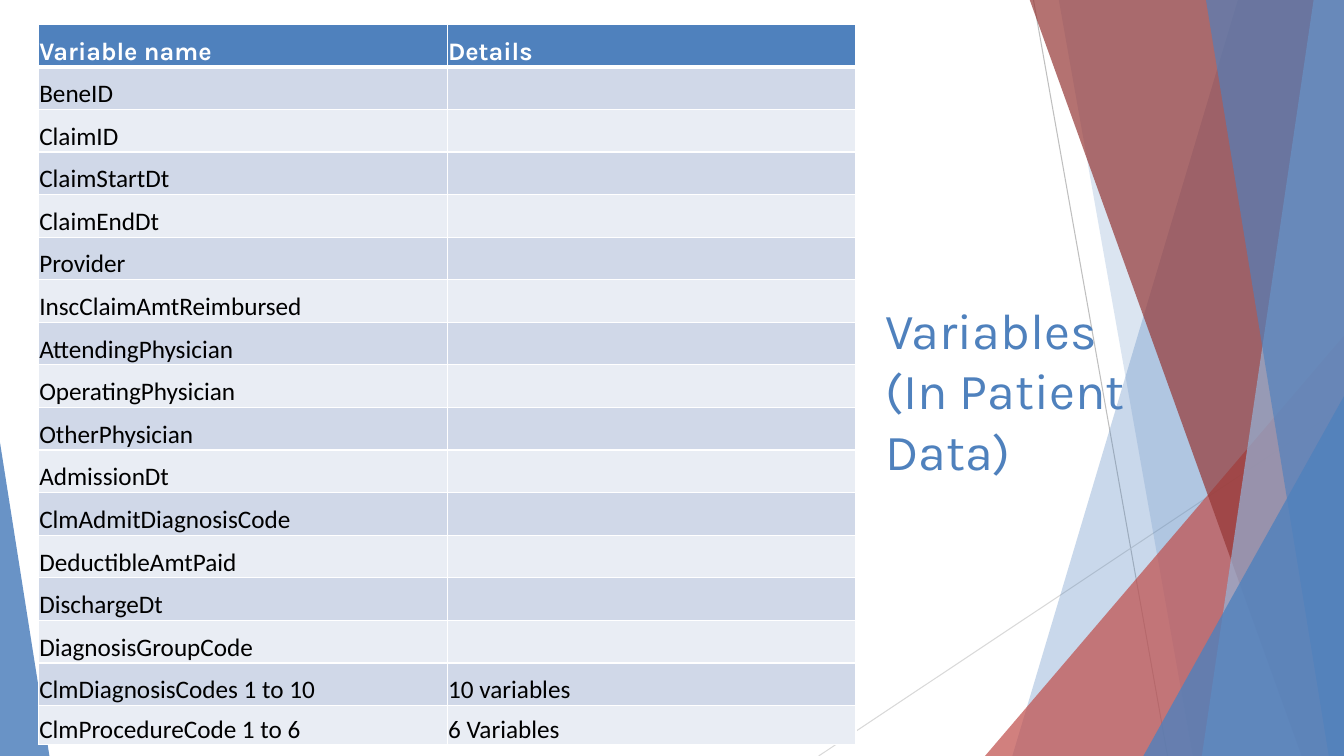
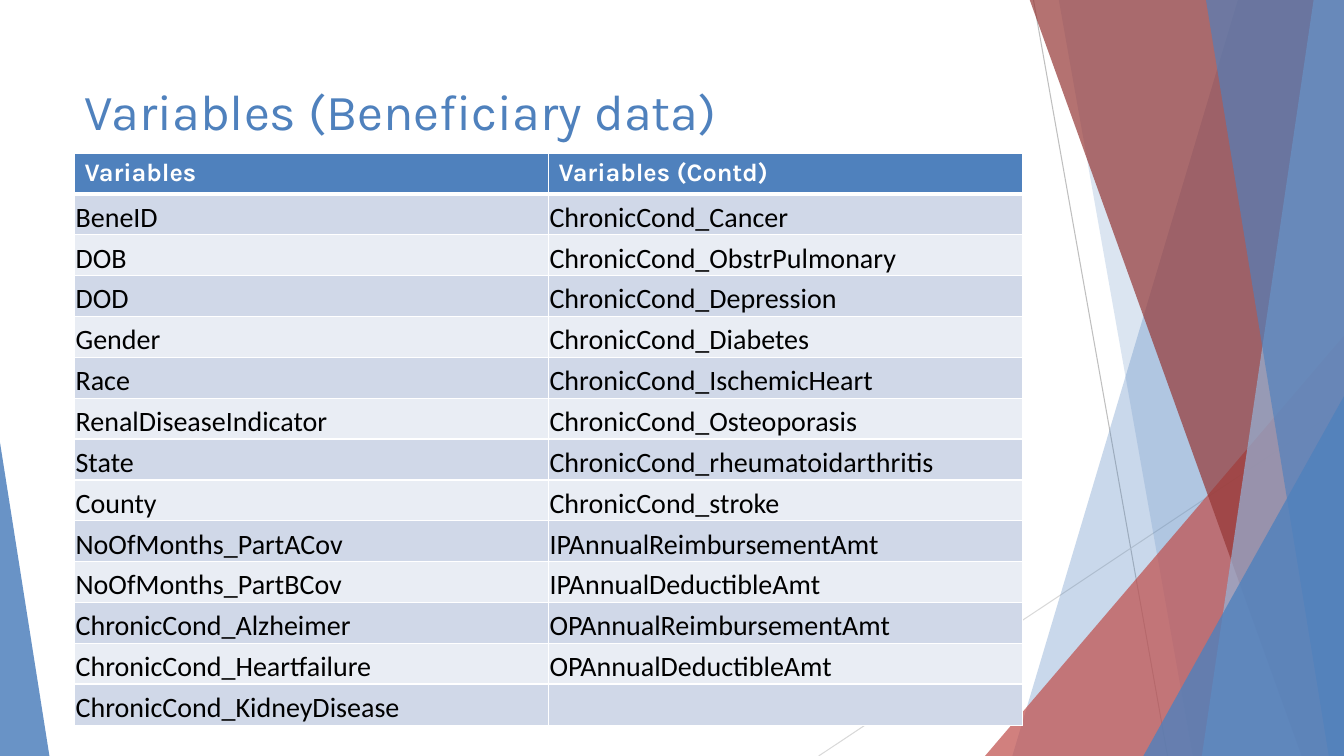
import pptx
import pptx.util
import pptx.dml.color
import pptx.enum.shapes
import pptx.enum.text
import pptx.oxml.ns
import lxml.etree

SCALE = 9144  # EMU in one px, 100 px to the inch
WIDE, HIGH = 1333, 750
BLUE, PALE, RED, DARK = "4F81BD", "95B3D7", "C0504D", "953735"
WHITE, BLACK = "FFFFFF", "000000"
BANDS = ("D0D8E8", "E9EDF4")
HEAD, BODY = "Karla", "Calibri"


def px(n):
    return pptx.util.Emu(round(n * SCALE))


def color(code):
    return pptx.dml.color.RGBColor.from_string(code)


def child(node, tag, **attrs):
    return lxml.etree.SubElement(node, pptx.oxml.ns.qn(tag), attrs)


class Deck:
    def __init__(self):
        self.prs = pptx.Presentation()
        self.prs.slide_width, self.prs.slide_height = px(WIDE), px(HIGH)
        self.base = self.prs.slide_layouts[5]
        self.slide = None

    def page(self):
        self.slide = self.prs.slides.add_slide(self.base)

    # Shapes
    def paint(self, shape, code, alpha):
        shape.shadow.inherit = False
        shape.line.fill.background()
        shape.fill.solid()
        shape.fill.fore_color.rgb = color(code)
        tint = shape._element.spPr.find(".//" + pptx.oxml.ns.qn("a:srgbClr"))
        child(tint, "a:alpha", val=str(alpha * 1000))

    def line(self, x1, y1, x2, y2, code):
        kind = pptx.enum.shapes.MSO_CONNECTOR.STRAIGHT
        line = self.slide.shapes.add_connector(kind, px(x1), px(y1), px(x2), px(y2))
        line.line.color.rgb = color(code)
        line.line.width = pptx.util.Pt(0.75)
        child(line._element.spPr, "a:effectLst")

    def shard(self, top, low, code, alpha):
        """Fill from a slanted left edge to the right side of the slide."""
        form = self.slide.shapes.build_freeform(top, -1, scale=SCALE)
        form.add_line_segments([(WIDE, -1), (WIDE, HIGH), (low, HIGH)], close=True)
        self.paint(form.convert_to_shape(), code, alpha)

    def wedge(self, x, y, w, tip, code, alpha):
        """Place a triangle on the bottom edge of the slide."""
        kind = pptx.enum.shapes.MSO_SHAPE.ISOSCELES_TRIANGLE
        shape = self.slide.shapes.add_shape(kind, px(x), px(y), px(w), px(HIGH - y))
        shape.adjustments[0] = tip
        self.paint(shape, code, alpha)

    def share(self):
        """Move what is drawn on the slide into its layout."""
        tree = self.base.shapes._spTree
        drawn = [s for s in self.slide.shapes if not s.is_placeholder]
        for n, shape in enumerate(drawn):
            shape._element.xpath(".//p:cNvPr")[0].set("id", str(100 + n))
            tree.insert(2 + n, shape._element)

    # Text
    def run(self, para, text, size, font, code, bold=False):
        run = para.add_run()
        run.text = text
        run.font.size = pptx.util.Pt(size)
        run.font.name = font
        run.font.bold = bold
        run.font.color.rgb = color(code)

    def title(self, x, y, w, h, *lines):
        box = self.slide.shapes.title
        box.left, box.top, box.width, box.height = px(x), px(y), px(w), px(h)
        frame = box.text_frame
        frame.word_wrap = True
        frame.auto_size = pptx.enum.text.MSO_AUTO_SIZE.NONE
        frame.vertical_anchor = pptx.enum.text.MSO_ANCHOR.MIDDLE
        para = frame.paragraphs[0]
        para.alignment = pptx.enum.text.PP_ALIGN.LEFT
        for n, text in enumerate(lines):
            if n:
                para.add_line_break()
            self.run(para, text, 36, HEAD, BLUE)

    # Tables
    def edges(self, cell, row):
        props = cell._tc.get_or_add_tcPr()
        thick = {"a:lnT": row == 1, "a:lnB": row == 0}
        for n, tag in enumerate(("a:lnL", "a:lnR", "a:lnT", "a:lnB")):
            width = pptx.util.Pt(3 if thick.get(tag) else 1)
            edge = lxml.etree.Element(pptx.oxml.ns.qn(tag), w=str(width))
            child(child(edge, "a:solidFill"), "a:srgbClr", val=WHITE)
            props.insert(n, edge)

    def tight(self, cell):
        cell.vertical_anchor = pptx.enum.text.MSO_ANCHOR.BOTTOM
        cell.margin_left = cell.margin_right = cell.margin_top = px(1)
        cell.margin_bottom = 0

    def table(self, x, y, w, h, last, rows, size, roomy=False):
        count, wide = len(rows), len(rows[0])
        shape = self.slide.shapes.add_table(count, wide, px(x), px(y), px(w), px(h))
        grid = shape.table
        for col in grid.columns:
            col.width = px(w / wide)
        for r, texts in enumerate(rows):
            grid.rows[r].height = px(last if r == count - 1 else (h - last) / (count - 1))
            for c, text in enumerate(texts):
                cell = grid.cell(r, c)
                cell.fill.solid()
                cell.fill.fore_color.rgb = color(BANDS[(r - 1) % 2] if r else BLUE)
                self.edges(cell, r)
                if r or not roomy:
                    self.tight(cell)
                para = cell.text_frame.paragraphs[0]
                if text and r:
                    self.run(para, text, size, BODY, BLACK)
                elif text:
                    self.run(para, text, 18, HEAD, WHITE, True)


def decor(deck):
    deck.line(1025, 0, 1158, HIGH, "BFBFBF")
    deck.line(WIDE, 403, 812, HIGH, "D9D9D9")
    deck.shard(1228, 1004, BLUE, 30)
    deck.shard(1050, 1183, BLUE, 20)
    deck.wedge(977, 333, 356, 1, RED, 72)
    deck.shard(1021, 1291, DARK, 70)
    deck.shard(1303, 1192, PALE, 70)
    deck.shard(1196, 1318, BLUE, 65)
    deck.wedge(1134, 393, 199, 1, BLUE, 80)
    deck.wedge(0, 439, 49, 0, BLUE, 85)
    deck.share()


def main():
    deck = Deck()

    # In-patient variables
    deck.page()
    decor(deck)
    deck.title(868, 286, 272, 201, "Variables ", "(In Patient ", "Data)")
    names = ("BeneID", "ClaimID", "ClaimStartDt", "ClaimEndDt", "Provider",
             "InscClaimAmtReimbursed", "AttendingPhysician", "OperatingPhysician",
             "OtherPhysician", "AdmissionDt", "ClmAdmitDiagnosisCode",
             "DeductibleAmtPaid", "DischargeDt", "DiagnosisGroupCode")
    rows = [("Variable name", "Details")]
    rows += [(name, "") for name in names]
    rows += [("ClmDiagnosisCodes 1 to 10", "10 variables"),
             ("ClmProcedureCode 1 to 6", "6 Variables")]
    deck.table(38, 24, 811, 715, 39, rows, 18)

    # Beneficiary variables
    deck.page()
    deck.title(74, 67, 940, 84, "Variables (Beneficiary data)")
    rows = [
        ("Variables", "Variables (Contd)"),
        ("BeneID", "ChronicCond_Cancer"),
        ("DOB", "ChronicCond_ObstrPulmonary"),
        ("DOD", "ChronicCond_Depression"),
        ("Gender", "ChronicCond_Diabetes"),
        ("Race", "ChronicCond_IschemicHeart"),
        ("RenalDiseaseIndicator", "ChronicCond_Osteoporasis"),
        ("State", "ChronicCond_rheumatoidarthritis"),
        ("County", "ChronicCond_stroke"),
        ("NoOfMonths_PartACov", "IPAnnualReimbursementAmt"),
        ("NoOfMonths_PartBCov", "IPAnnualDeductibleAmt"),
        ("ChronicCond_Alzheimer", "OPAnnualReimbursementAmt"),
        ("ChronicCond_Heartfailure", "OPAnnualDeductibleAmt"),
        ("ChronicCond_KidneyDisease", ""),
    ]
    deck.table(74, 152, 940, 568, 41, rows, 20, roomy=True)

    deck.prs.save("out.pptx")


if __name__ == "__main__":
    main()
